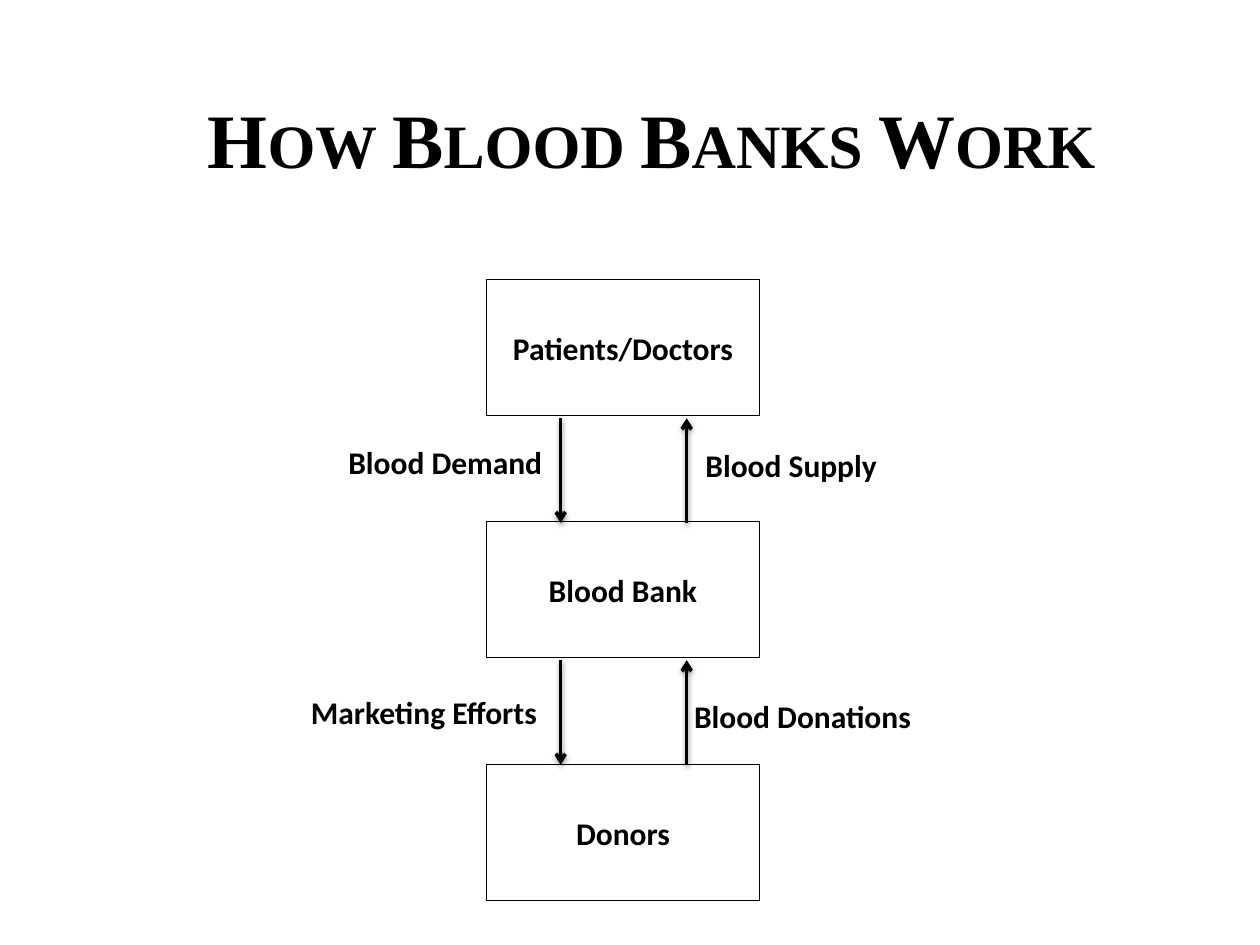
from dataclasses import dataclass
from lxml.etree import SubElement
from pptx import Presentation
from pptx.dml.color import RGBColor
from pptx.enum.shapes import MSO_CONNECTOR, MSO_SHAPE
from pptx.enum.text import MSO_ANCHOR, MSO_AUTO_SIZE, PP_ALIGN
from pptx.oxml.ns import qn
from pptx.util import Inches, Pt


@dataclass(frozen=True)
class Theme:
    ink: str = "000000"
    title_font: str = "Times New Roman"
    body_font: str = "Calibri"
    title_size: int = 44
    body_size: int = 18
    box_line: float = 0.75
    arrow_line: float = 2


class FlowSlide:
    def __init__(self, deck, theme):
        self.theme = theme
        self.ink = RGBColor.from_string(theme.ink)
        self.page = deck.slides.add_slide(deck.slide_layouts[5])

    def add_text(self, frame, text, font, size):
        frame.word_wrap = True
        para = frame.paragraphs[0]
        para.alignment = PP_ALIGN.CENTER
        span = para.add_run()
        span.text = text
        span.font.name = font
        span.font.size = Pt(size)
        span.font.bold = True
        span.font.color.rgb = self.ink
        return span

    def title(self, text, left, top, width, height):
        title = self.page.shapes.title
        title.left, title.top = Inches(left), Inches(top)
        title.width, title.height = Inches(width), Inches(height)
        frame = title.text_frame
        frame.vertical_anchor = MSO_ANCHOR.MIDDLE
        span = self.add_text(frame, text, self.theme.title_font, self.theme.title_size)
        span._r.get_or_add_rPr().set("cap", "small")

    def box(self, text, left, top, width, height):
        box = self.page.shapes.add_shape(
            MSO_SHAPE.RECTANGLE, Inches(left), Inches(top), Inches(width), Inches(height))
        box.shadow.inherit = False
        box.fill.background()
        box.line.color.rgb = self.ink
        box.line.width = Pt(self.theme.box_line)
        box.text_frame.vertical_anchor = MSO_ANCHOR.MIDDLE
        self.add_text(box.text_frame, text, self.theme.body_font, self.theme.body_size)

    def label(self, text, left, top, width, height=0.4):
        label = self.page.shapes.add_textbox(
            Inches(left), Inches(top), Inches(width), Inches(height))
        self.add_text(label.text_frame, text, self.theme.body_font, self.theme.body_size)
        label.text_frame.auto_size = MSO_AUTO_SIZE.SHAPE_TO_FIT_TEXT

    def arrow(self, x, start, end):
        arrow = self.page.shapes.add_connector(
            MSO_CONNECTOR.STRAIGHT, Inches(x), Inches(start), Inches(x), Inches(end))
        arrow.line.color.rgb = self.ink
        arrow.line.width = Pt(self.theme.arrow_line)
        properties = arrow._element.spPr
        SubElement(properties.find(qn("a:ln")), qn("a:tailEnd"), type="arrow")
        effects = SubElement(properties, qn("a:effectLst"))
        shadow = SubElement(effects, qn("a:outerShdw"), blurRad=str(Pt(3.1)),
                            dist=str(Pt(1.6)), dir="5400000", rotWithShape="0")
        color = SubElement(shadow, qn("a:srgbClr"), val=self.theme.ink)
        SubElement(color, qn("a:alpha"), val="38000")


def main():
    deck = Presentation()
    deck.slide_width, deck.slide_height = Inches(10), Inches(7.5)
    slide = FlowSlide(deck, Theme())
    slide.title("How Blood Banks Work", 0.67, 0.47, 9, 1.25)

    box_left, box_width, box_height = 3.86, 2.17, 1.08
    stages = [("Patients/Doctors", 2.22), ("Blood Bank", 4.14), ("Donors", 6.07)]
    for text, top in stages:
        slide.box(text, box_left, top, box_width, box_height)

    down_x, up_x, arrow_length = 4.45, 5.45, 0.83
    for text, top in stages[:-1]:
        start = top + box_height + 0.02
        slide.arrow(down_x, start, start + arrow_length)
        slide.arrow(up_x, start + arrow_length, start)

    for text, left, top, width in [
        ("Blood Demand", 2.45, 3.47, 2.17),
        ("Blood Supply", 5.03, 3.49, 2.5),
        ("Marketing Efforts", 2.28, 5.45, 2.17),
        ("Blood Donations", 5.12, 5.48, 2.5),
    ]:
        slide.label(text, left, top, width)

    deck.save("out.pptx")


if __name__ == "__main__":
    main()
